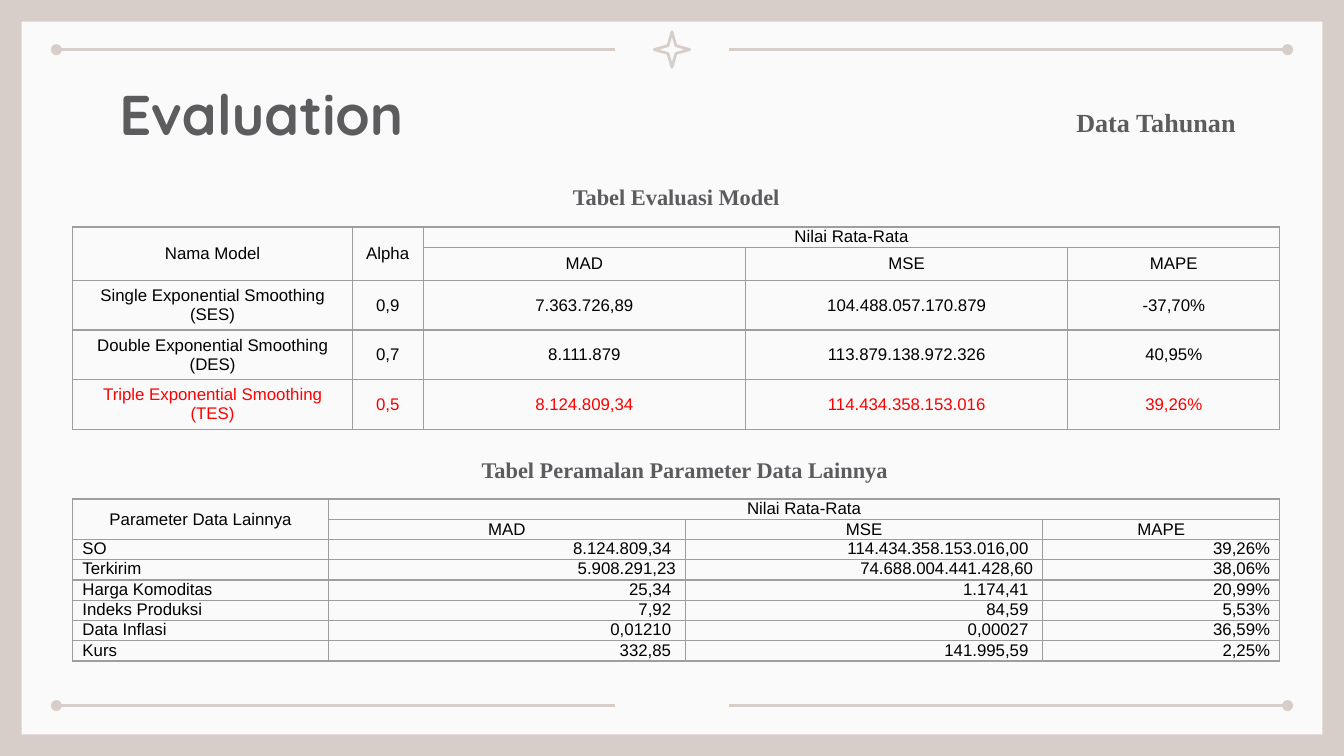
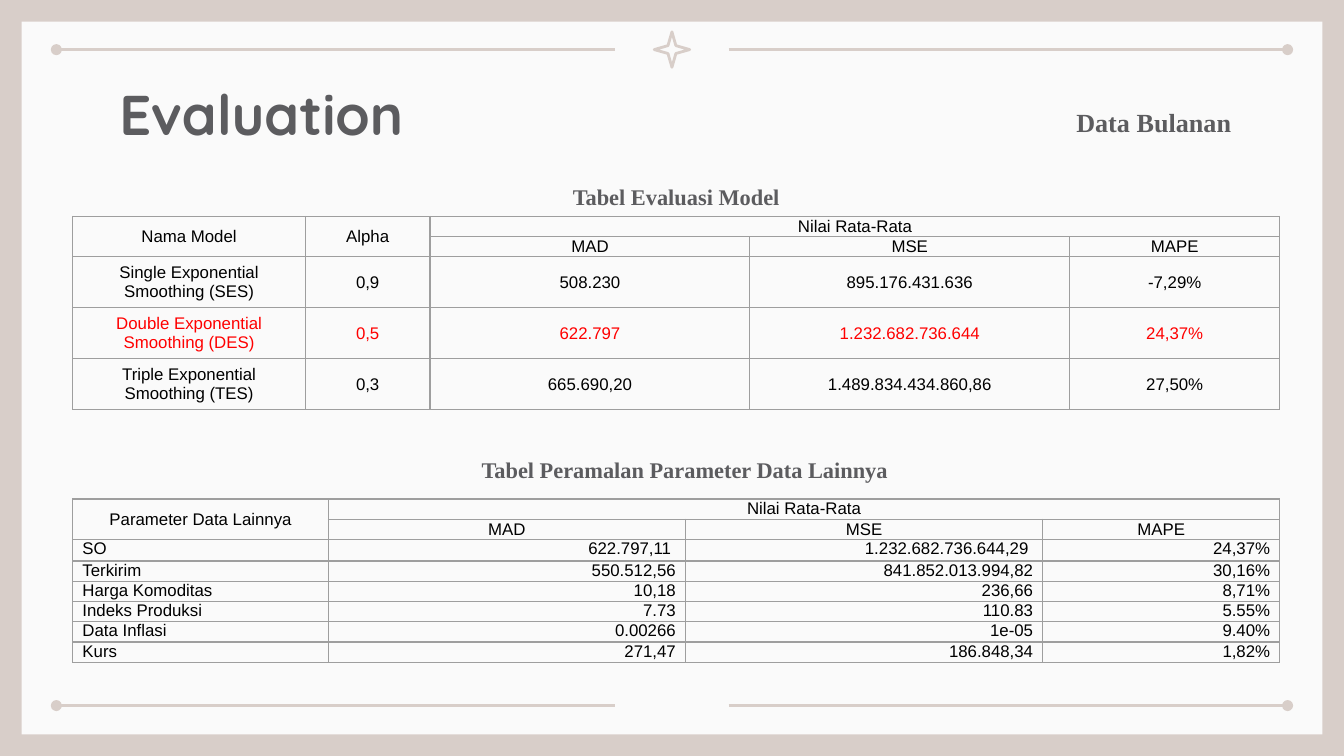
"""Build two evaluation slides, for yearly and monthly forecast data."""
from dataclasses import dataclass

from lxml.etree import SubElement
from pptx import Presentation
from pptx.dml.color import RGBColor
from pptx.enum.shapes import MSO_CONNECTOR, MSO_SHAPE
from pptx.enum.text import MSO_ANCHOR, MSO_AUTO_SIZE, PP_ALIGN
from pptx.oxml import parse_xml
from pptx.oxml.ns import nsdecls, qn
from pptx.slide import Slide
from pptx.table import _Cell
from pptx.text.text import _Paragraph
from pptx.util import Pt


@dataclass(frozen=True)
class Theme:
    """Colours, fonts and sizes shared by the slides."""
    band: str = "D8CEC9"
    paper: str = "FAFAFA"
    heading: str = "5C5C5F"
    ink: str = "000000"
    best: str = "FF0000"
    grid: str = "9E9E9E"
    title_font: str = "Quicksand"
    label_font: str = "Times New Roman"
    table_font: str = "Arial"
    title_size: float = 30
    period_size: float = 14
    caption_size: float = 12
    table_size: float = 9
    rule_width: float = 1.5
    grid_width: float = 0.75


@dataclass(frozen=True)
class Label:
    """A bold heading with its place in points."""
    text: str
    left: float
    top: float
    width: float
    height: float
    size: float
    font: str
    align: PP_ALIGN = PP_ALIGN.LEFT
    anchor: MSO_ANCHOR = MSO_ANCHOR.TOP
    inset: float = 3.6
    grow: bool = True


@dataclass(frozen=True)
class Grid:
    """A table whose last three columns share a heading."""
    top: float
    height: float
    widths: tuple[float, ...]
    heights: tuple[float, ...]
    headings: tuple[str, ...]
    rows: list[tuple[str, ...]]
    numeric: bool = False
    best_row: int = -1


@dataclass(frozen=True)
class Evaluation:
    """The content of one slide."""
    period: str
    models: Grid
    parameters: Grid


THEME = Theme()
PAGE_WIDTH, PAGE_HEIGHT = 720, 405
TABLE_LEFT = 39
MEASURES = ("MAD", "MSE", "MAPE")
MODEL_HEADINGS = ("Nama Model", "Alpha")
PARAMETER_HEADINGS = ("Parameter Data Lainnya",)
PARAMETER_WIDTHS = (136.8, 191.4, 191.4, 127)
MODELS = ("Single Exponential Smoothing (SES)", "Double Exponential Smoothing (DES)",
          "Triple Exponential Smoothing (TES)")
PARAMETERS = ("SO", "Terkirim", "Harga Komoditas", "Indeks Produksi", "Data Inflasi", "Kurs")


def named(names: tuple[str, ...], values: list[tuple[str, ...]]) -> list[tuple[str, ...]]:
    """Put a name in front of each row of values."""
    return [(name, *row) for name, row in zip(names, values)]


EVALUATIONS = [
    Evaluation(
        "Data Tahunan",
        Grid(121.6, 108.6, (149.7, 38, 172.7, 172.7, 113.5), (9.4, 17.8, 26.6, 26.6, 26.6),
             MODEL_HEADINGS, named(MODELS, [
                 ("0,9", "7.363.726,89", "104.488.057.170.879", "-37,70%"),
                 ("0,7", "8.111.879", "113.879.138.972.326", "40,95%"),
                 ("0,5", "8.124.809,34", "114.434.358.153.016", "39,26%")]), best_row=2),
        Grid(267.3, 86.6, PARAMETER_WIDTHS, (8.8,) * 8,
             PARAMETER_HEADINGS, named(PARAMETERS, [
                 (" 8.124.809,34 ", " 114.434.358.153.016,00 ", "39,26%"),
                 ("5.908.291,23", "74.688.004.441.428,60", "38,06%"),
                 (" 25,34 ", " 1.174,41 ", "20,99%"),
                 (" 7,92 ", " 84,59 ", "5,53%"),
                 (" 0,01210 ", " 0,00027 ", "36,59%"),
                 (" 332,85 ", " 141.995,59 ", "2,25%")]), numeric=True)),
    Evaluation(
        "Data Bulanan",
        Grid(115.9, 103.7, (124.5, 66.9, 171.3, 171.3, 112.6), (9.4, 9.4, 27.3, 27.3, 27.3),
             MODEL_HEADINGS, named(MODELS, [
                 ("0,9", "508.230", "895.176.431.636", "-7,29%"),
                 ("0,5", "622.797", "1.232.682.736.644", "24,37%"),
                 ("0,3", "665.690,20", "1.489.834.434.860,86", "27,50%")]), best_row=1),
        Grid(267.3, 87.2, PARAMETER_WIDTHS, (9.4, 9.4, 11.5, 9.4, 10.8, 9.4, 9.4, 9.4),
             PARAMETER_HEADINGS, named(PARAMETERS, [
                 (" 622.797,11 ", " 1.232.682.736.644,29 ", "24,37%"),
                 ("550.512,56", "841.852.013.994,82", "30,16%"),
                 ("10,18", "236,66", "8,71%"),
                 ("7.73", "110.83", "5.55%"),
                 ("0.00266", "1e-05", "9.40%"),
                 ("271,47", "186.848,34", "1,82%")]), numeric=True)),
]

LABELS = [
    Label("Evaluation", 56.9, 35.3, 607, 45.4, THEME.title_size, THEME.title_font,
          inset=7.2, grow=False),
    Label("Tabel Evaluasi Model", TABLE_LEFT, 94.5, 646.6, 21.8, THEME.caption_size,
          THEME.label_font, PP_ALIGN.CENTER, MSO_ANCHOR.MIDDLE),
    Label("Tabel Peramalan Parameter Data Lainnya", TABLE_LEFT, 240.5, 656, 21.8,
          THEME.caption_size, THEME.label_font, PP_ALIGN.CENTER, MSO_ANCHOR.MIDDLE),
]


def style_text(para: _Paragraph, font: str, size: float, color: str, bold: bool = False) -> None:
    """Format every run of a paragraph."""
    for span in para.runs:
        span.font.name = font
        span.font.size = Pt(size)
        span.font.bold = bold
        span.font.color.rgb = RGBColor.from_string(color)


def draw_rule(page: Slide, start: float, end: float, height: float, dot_tag: str) -> None:
    """Draw a horizontal rule with a dot at one end."""
    rule = page.shapes.add_connector(MSO_CONNECTOR.STRAIGHT, Pt(start), Pt(height),
                                     Pt(end), Pt(height))
    rule.line.color.rgb = RGBColor.from_string(THEME.band)
    rule.line.width = Pt(THEME.rule_width)
    SubElement(rule.line._get_or_add_ln(), qn(dot_tag), type="oval")
    SubElement(rule._element.spPr, qn("a:effectLst"))


def draw_frame(page: Slide) -> None:
    """Draw the background, paper, rules and star."""
    page.background.fill.solid()
    page.background.fill.fore_color.rgb = RGBColor.from_string(THEME.band)
    margin = 11.6
    paper = page.shapes.add_shape(MSO_SHAPE.RECTANGLE, Pt(margin), Pt(margin),
                                  Pt(PAGE_WIDTH - 2 * margin), Pt(PAGE_HEIGHT - 2 * margin))
    paper.shadow.inherit = False
    paper.fill.solid()
    paper.fill.fore_color.rgb = RGBColor.from_string(THEME.paper)
    paper.line.fill.background()
    outer, inner = 30.2, 329.7
    for height in (26.6, 378):
        draw_rule(page, outer, inner, height, "a:headEnd")
        draw_rule(page, PAGE_WIDTH - inner, PAGE_WIDTH - outer, height, "a:tailEnd")
    side = 19
    star = page.shapes.add_shape(MSO_SHAPE.STAR_4_POINT, Pt((PAGE_WIDTH - side) / 2), Pt(17.1),
                                 Pt(side), Pt(side))
    star.adjustments[0] = 0.157
    star.shadow.inherit = False
    star.fill.background()
    star.line.color.rgb = RGBColor.from_string(THEME.band)
    star.line.width = Pt(THEME.rule_width)


def draw_label(page: Slide, label: Label) -> None:
    """Draw a heading."""
    box = page.shapes.add_textbox(Pt(label.left), Pt(label.top), Pt(label.width), Pt(label.height))
    frame = box.text_frame
    frame.word_wrap = True
    frame.auto_size = MSO_AUTO_SIZE.SHAPE_TO_FIT_TEXT if label.grow else MSO_AUTO_SIZE.NONE
    frame.vertical_anchor = label.anchor
    frame.margin_left = frame.margin_right = Pt(7.2)
    frame.margin_top = frame.margin_bottom = Pt(label.inset)
    frame.text = label.text
    para = frame.paragraphs[0]
    para.alignment = label.align
    style_text(para, label.font, label.size, THEME.heading, bold=True)


def style_cell(cell: _Cell, color: str, align: PP_ALIGN, anchor: MSO_ANCHOR) -> None:
    """Set the text, margins, fill and borders of a cell."""
    cell.margin_left = cell.margin_right = Pt(5.2)
    cell.margin_top = cell.margin_bottom = Pt(0)
    cell.vertical_anchor = anchor
    cell.fill.background()
    para = cell.text_frame.paragraphs[0]
    para.alignment = align
    para.font.size = Pt(THEME.table_size)
    style_text(para, THEME.table_font, THEME.table_size, color)
    properties = cell._tc.get_or_add_tcPr()
    for position, side in enumerate("LRTB"):
        properties.insert(position, parse_xml(
            f'<a:ln{side} {nsdecls("a")} w="{Pt(THEME.grid_width)}"><a:solidFill>'
            f'<a:srgbClr val="{THEME.grid}"/></a:solidFill></a:ln{side}>'))


def draw_grid(page: Slide, grid: Grid) -> None:
    """Draw a table with two heading rows."""
    lead = len(grid.headings)
    blanks = ("",) * (len(MEASURES) - 1)
    rows = [(*grid.headings, "Nilai Rata-Rata", *blanks), ("",) * lead + MEASURES, *grid.rows]
    holder = page.shapes.add_table(len(rows), len(grid.widths), Pt(TABLE_LEFT), Pt(grid.top),
                                   Pt(sum(grid.widths)), Pt(grid.height))
    table = holder.table
    table.first_row = table.horz_banding = False
    for column, width in zip(table.columns, grid.widths):
        column.width = Pt(width)
    for row, height in zip(table.rows, grid.heights):
        row.height = Pt(height)
    holder.height = Pt(grid.height)
    for row_index, texts in enumerate(rows):
        color = THEME.best if row_index - 2 == grid.best_row and row_index > 1 else THEME.ink
        align, anchor = PP_ALIGN.CENTER, MSO_ANCHOR.MIDDLE
        for column_index, text in enumerate(texts):
            if grid.numeric and row_index > 1:
                align = PP_ALIGN.RIGHT if column_index else PP_ALIGN.LEFT
                anchor = MSO_ANCHOR.TOP
            cell = table.cell(row_index, column_index)
            cell.text_frame.text = text
            style_cell(cell, color, align, anchor)
    for column_index in range(lead):
        table.cell(0, column_index).merge(table.cell(1, column_index))
    table.cell(0, lead).merge(table.cell(0, len(grid.widths) - 1))


def main() -> None:
    """Build and save the deck."""
    deck = Presentation()
    deck.slide_width, deck.slide_height = Pt(PAGE_WIDTH), Pt(PAGE_HEIGHT)
    for evaluation in EVALUATIONS:
        page = deck.slides.add_slide(deck.slide_layouts[6])
        draw_frame(page)
        period = Label(evaluation.period, 569.5, 53.3, 116, 24.2, THEME.period_size,
                       THEME.label_font)
        for label in (*LABELS, period):
            draw_label(page, label)
        draw_grid(page, evaluation.models)
        draw_grid(page, evaluation.parameters)
    deck.save("out.pptx")


if __name__ == "__main__":
    main()
